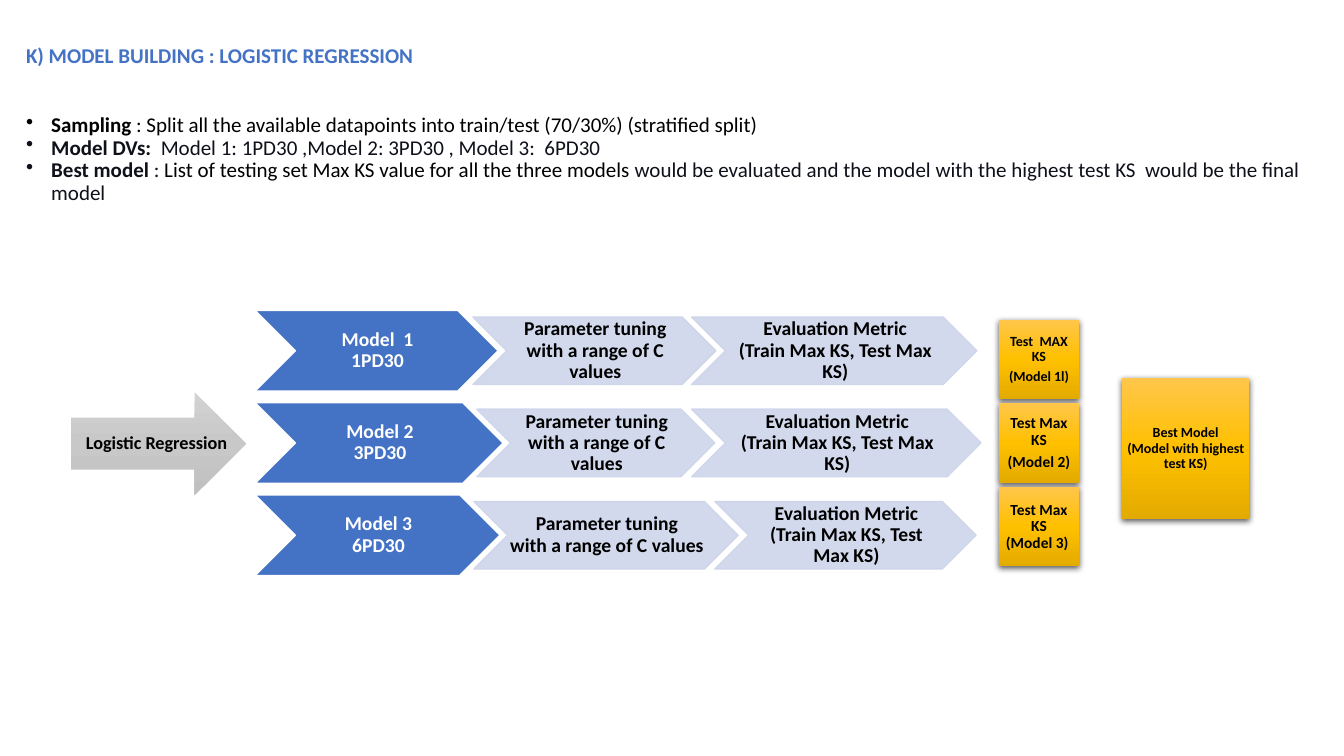
import pptx
import pptx.util
import pptx.dml.color
import pptx.enum.shapes
import pptx.enum.text
import pptx.oxml.ns
from lxml import etree

Inches = pptx.util.Inches
Pt = pptx.util.Pt
qn = pptx.oxml.ns.qn
SHAPE = pptx.enum.shapes.MSO_SHAPE
CENTER = pptx.enum.text.PP_ALIGN.CENTER
MIDDLE = pptx.enum.text.MSO_ANCHOR.MIDDLE

BLUE, PALE, WHITE, BLACK, INK = "4472C4", "CFD5EA", "FFFFFF", "000000", "0E101A"
GOLD = [(0, "FFC64B"), (50, "FFC000"), (100, "E3AB00")]
GREY = [(0, "D2D2D2"), (50, "C8C8C8"), (100, "C0C0C0")]

TITLE = "K) MODEL BUILDING : LOGISTIC REGRESSION"
BULLETS = [
    [("Sampling", BLACK, True),
     (" : Split all the available datapoints into train/test (70/30%) (stratified split)", BLACK, False)],
    [("Model DVs:  ", INK, True),
     ("Model 1: 1PD30 ,Model 2: 3PD30 , Model 3:  6PD30", INK, False)],
    [("Best model ", INK, True),
     (": ", INK, False),
     ("List of testing set Max KS value for all the three models ", BLACK, False),
     ("would be evaluated and the model with the highest test KS  would be the final model", INK, False)],
]
TUNING = "Parameter tuning\nwith a range of C values"
METRIC = "Evaluation Metric\n(Train Max KS, Test Max KS)"
MODELS = [
    ("Model  1\n1PD30", [(2.53, 2.41), (4.69, 2.41), (6.86, 2.83)], ["Test  MAX KS", "(Model 1l)"], 10),
    ("Model 2\n3PD30", [(2.53, 2.46), (4.73, 2.36), (6.86, 2.87)], ["Test Max KS", "(Model 2)"], 11),
    ("Model 3\n6PD30", [(2.53, 2.43), (4.70, 2.62), (7.09, 2.59)], ["Test Max KS\n(Model 3) "], 11),
]
START = "Logistic Regression"
BEST = "Best Model\n(Model with highest test KS)"

CHEVRON_TOP, CHEVRON_STEP = 3.08, 0.915
MODEL_HEIGHT, STEP_HEIGHT = 0.80, 0.67
RESULT_TOP, RESULT_STEP, RESULT_SIDE = 3.17, 0.83, 0.79


def rgb(value):
    return pptx.dml.color.RGBColor.from_string(value)


def style(paragraph, size, color=None, bold=None):
    paragraph.line_spacing = 0.9
    paragraph.font.name = "Calibri"
    paragraph.font.size = Pt(size)
    if color:
        paragraph.font.color.rgb = rgb(color)
    if bold is not None:
        paragraph.font.bold = bold


def set_insets(frame, left, top, right, bottom):
    frame.margin_left, frame.margin_top = Inches(left), Inches(top)
    frame.margin_right, frame.margin_bottom = Inches(right), Inches(bottom)


def add_figure(slide, kind, box, lines, size, color, insets):
    figure = slide.shapes.add_shape(kind, *map(Inches, box))
    figure.shadow.inherit = False
    frame = figure.text_frame
    frame.word_wrap = True
    frame.vertical_anchor = MIDDLE
    set_insets(frame, *insets)
    for i, line in enumerate(lines):
        paragraph = frame.paragraphs[0] if i == 0 else frame.add_paragraph()
        paragraph.text = line
        paragraph.alignment = CENTER
        style(paragraph, size, color, True)
        if i < len(lines) - 1:
            paragraph.space_after = Pt(0.35 * size)
    return figure


def add_color(parent, value, alpha):
    color = etree.SubElement(parent, qn("a:srgbClr"), val=value)
    etree.SubElement(color, qn("a:alpha"), val=str(alpha * 1000))


def shade(figure, stops):
    figure.line.fill.background()
    figure.fill.gradient()
    figure.fill.gradient_angle = 270
    stop_list = figure._element.spPr.find(qn("a:gradFill")).find(qn("a:gsLst"))
    for old in list(stop_list):
        stop_list.remove(old)
    for position, value in stops:
        stop = etree.SubElement(stop_list, qn("a:gs"), pos=str(position * 1000))
        add_color(stop, value, 100)


def add_chevron(slide, box, text, fill, line, color, alpha):
    chevron = add_figure(slide, SHAPE.CHEVRON, box, [text], 14, color, (0.02, 0.01, 0, 0.01))
    chevron.fill.solid()
    chevron.fill.fore_color.rgb = rgb(fill)
    chevron.line.color.rgb = rgb(line)
    chevron.line.width = Pt(1)
    for color_element in chevron._element.spPr.iter(qn("a:srgbClr")):
        etree.SubElement(color_element, qn("a:alpha"), val=str(alpha * 1000))


def add_gold_box(slide, box, lines, size):
    gold = add_figure(slide, SHAPE.RECTANGLE, box, lines, size, BLACK, (0.03,) * 4)
    shade(gold, GOLD)
    effects = gold._element.spPr.find(qn("a:effectLst"))
    shadow = etree.SubElement(effects, qn("a:outerShdw"), blurRad=str(Pt(4.5)), dist=str(Pt(1.5)),
                              dir="5400000", algn="ctr", rotWithShape="0")
    add_color(shadow, BLACK, 63)


def add_intro(slide):
    intro = slide.shapes.add_textbox(Inches(0.16), Inches(0.4), Inches(13), Inches(1.75)).text_frame
    intro.word_wrap = True
    heading = intro.paragraphs[0]
    heading.text = TITLE
    style(heading, 15, BLUE, True)
    heading.space_after = Pt(33)
    for bullet in BULLETS:
        paragraph = intro.add_paragraph()
        style(paragraph, 15)
        properties = paragraph._p.get_or_add_pPr()
        properties.set("marL", str(Inches(0.25)))
        properties.set("indent", str(Inches(-0.25)))
        mark = etree.Element(qn("a:buChar"), char="•")
        properties.find(qn("a:defRPr")).addprevious(mark)
        for text, color, bold in bullet:
            run = paragraph.add_run()
            run.text = text
            run.font.bold = bold
            run.font.color.rgb = rgb(color)


def main():
    deck = pptx.Presentation()
    deck.slide_width, deck.slide_height = Inches(13.33), Inches(7.5)
    slide = deck.slides.add_slide(deck.slide_layouts[6])
    add_intro(slide)

    for i, (model, spans, result, result_size) in enumerate(MODELS):
        top = CHEVRON_TOP + i * CHEVRON_STEP
        step_top = top + (MODEL_HEIGHT - STEP_HEIGHT) / 2
        (left, width), *steps = spans
        add_chevron(slide, (left, top, width, MODEL_HEIGHT), model, BLUE, WHITE, WHITE, 100)
        for (left, width), text in zip(steps, [TUNING, METRIC]):
            add_chevron(slide, (left, step_top, width, STEP_HEIGHT), text, PALE, PALE, BLACK, 90)
        result_top = RESULT_TOP + i * RESULT_STEP
        add_gold_box(slide, (9.91, result_top, RESULT_SIDE, RESULT_SIDE), result, result_size)

    start = add_figure(slide, SHAPE.RIGHT_ARROW, (0.7, 3.89, 1.74, 1.02), [START], 13, BLACK,
                       (0.22, 0, 0, 0))
    start.text_frame.word_wrap = False
    shade(start, GREY)
    add_gold_box(slide, (11.13, 3.75, 1.26, 1.4), [BEST], 10)
    deck.save("out.pptx")


if __name__ == "__main__":
    main()
